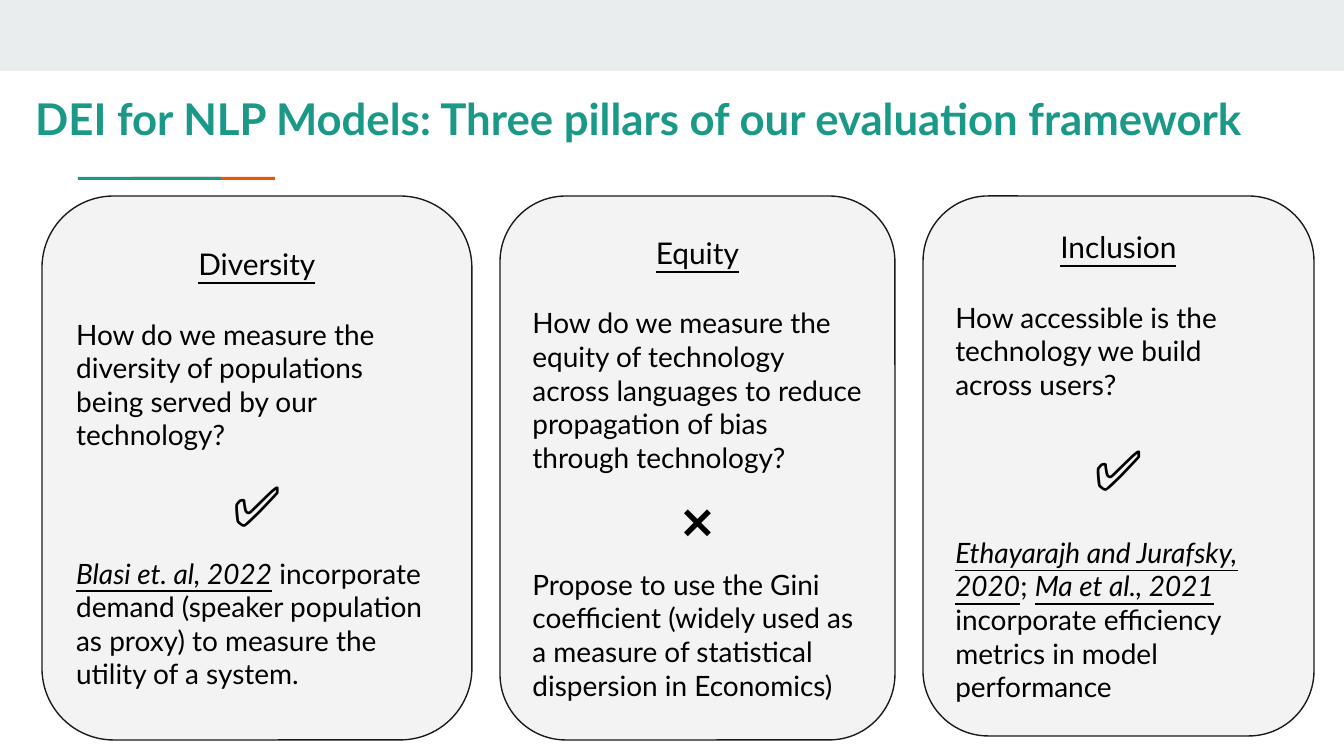
from pptx import Presentation
from pptx.dml.color import RGBColor
from pptx.enum.shapes import MSO_SHAPE
from pptx.enum.text import MSO_ANCHOR, PP_ALIGN
from pptx.util import Pt

PX = 9144000 / 1344
RECTANGLE = MSO_SHAPE.RECTANGLE
ROUNDED = MSO_SHAPE.ROUNDED_RECTANGLE
LEFT, CENTER = PP_ALIGN.LEFT, PP_ALIGN.CENTER
TOP, MIDDLE = MSO_ANCHOR.TOP, MSO_ANCHOR.MIDDLE
FONT = "Lato"
COLORS = {
    "band": "E9EDEE",
    "teal": "1A9988",
    "orange": "EB5600",
    "panel": "F3F3F3",
    "outline": "1A1A1A",
    "text": "000000",
}
CITATION = {"italic": True, "underline": True}

PILLARS = [
    {
        "box": (42, 196, 430, 544),
        "name": "Diversity",
        "question": "How do we measure the diversity of populations being served by our technology?",
        "mark": ("✅", 30),
        "gap": 10,
        "answer": [
            ("Blasi et. al, 2022", CITATION),
            (" incorporate demand (speaker population as proxy) to measure the utility of a system.", {}),
        ],
    },
    {
        "box": (500, 196, 395, 544),
        "name": "Equity",
        "question": "How do we measure the equity of technology across languages to reduce "
                    "propagation of bias through technology?",
        "mark": ("❌", 25),
        "gap": 10,
        "answer": [
            ("Propose to use the Gini coefficient (widely used as a measure of "
             "statistical dispersion in Economics)", {}),
        ],
    },
    {
        "box": (923, 196, 391, 540),
        "name": "Inclusion",
        "question": "How accessible is the technology we build across users?",
        "mark": ("✅", 30),
        "gap": 18,
        "answer": [
            ("Ethayarajh and Jurafsky, 2020", CITATION),
            ("; ", {}),
            ("Ma et al., 2021", CITATION),
            (" incorporate efficiency metrics in model performance", {}),
        ],
    },
]


def px(length):
    return round(length * PX)


def rgb(name):
    return RGBColor.from_string(COLORS[name])


def add_text(paragraph, text, size=15, color="text", bold=False, italic=False, underline=False):
    run = paragraph.add_run()
    run.text = text
    font = run.font
    font.name = FONT
    font.size = Pt(size)
    font.color.rgb = rgb(color)
    font.bold, font.italic, font.underline = bold, italic, underline


class SlideBuilder:
    """Holds the slide being built and draws its elements in one style."""

    def __init__(self, presentation):
        self.slide = presentation.slides.add_slide(presentation.slide_layouts[6])

    def prepare_frame(self, shape, anchor):
        frame = shape.text_frame
        frame.word_wrap = True
        frame.vertical_anchor = anchor
        frame.margin_left = frame.margin_right = Pt(7.2)
        frame.margin_top = frame.margin_bottom = Pt(7.2)
        return frame

    def box(self, bounds, fill, kind=RECTANGLE, outline=None):
        shape = self.slide.shapes.add_shape(kind, *map(px, bounds))
        shape.shadow.inherit = False
        shape.fill.solid()
        shape.fill.fore_color.rgb = rgb(fill)
        if outline:
            shape.line.color.rgb = rgb(outline)
            shape.line.width = Pt(0.75)
        else:
            shape.line.fill.background()
        return shape

    def title(self, bounds, text):
        shape = self.slide.shapes.add_textbox(*map(px, bounds))
        frame = self.prepare_frame(shape, TOP)
        add_text(frame.paragraphs[0], text, size=23.4, color="teal", bold=True)

    def pillar(self, box, name, question, mark, gap, answer):
        symbol, symbol_size = mark
        frame = self.prepare_frame(self.box(box, "panel", ROUNDED, "outline"), MIDDLE)
        rows = [
            (CENTER, 0, [(name, {"size": 16, "underline": True})]),
            (LEFT, 19.2, [(question, {})]),
            (CENTER, gap, [(symbol, {"size": symbol_size})]),
            (LEFT, gap, answer),
        ]
        for index, (alignment, space, runs) in enumerate(rows):
            paragraph = frame.add_paragraph() if index else frame.paragraphs[0]
            paragraph.alignment = alignment
            paragraph.space_before = Pt(space)
            for text, style in runs:
                add_text(paragraph, text, **style)


def main():
    presentation = Presentation()
    presentation.slide_width = px(1344)
    presentation.slide_height = px(756)
    builder = SlideBuilder(presentation)
    builder.box((0, 0, 1344, 71), "band")
    builder.box((133, 177, 142, 3), "orange")
    builder.box((78, 177, 143, 3), "teal")
    builder.title((22, 78, 1322, 79), "DEI for NLP Models: Three pillars of our evaluation framework")
    for pillar in PILLARS:
        builder.pillar(**pillar)
    presentation.save("out.pptx")


if __name__ == "__main__":
    main()
